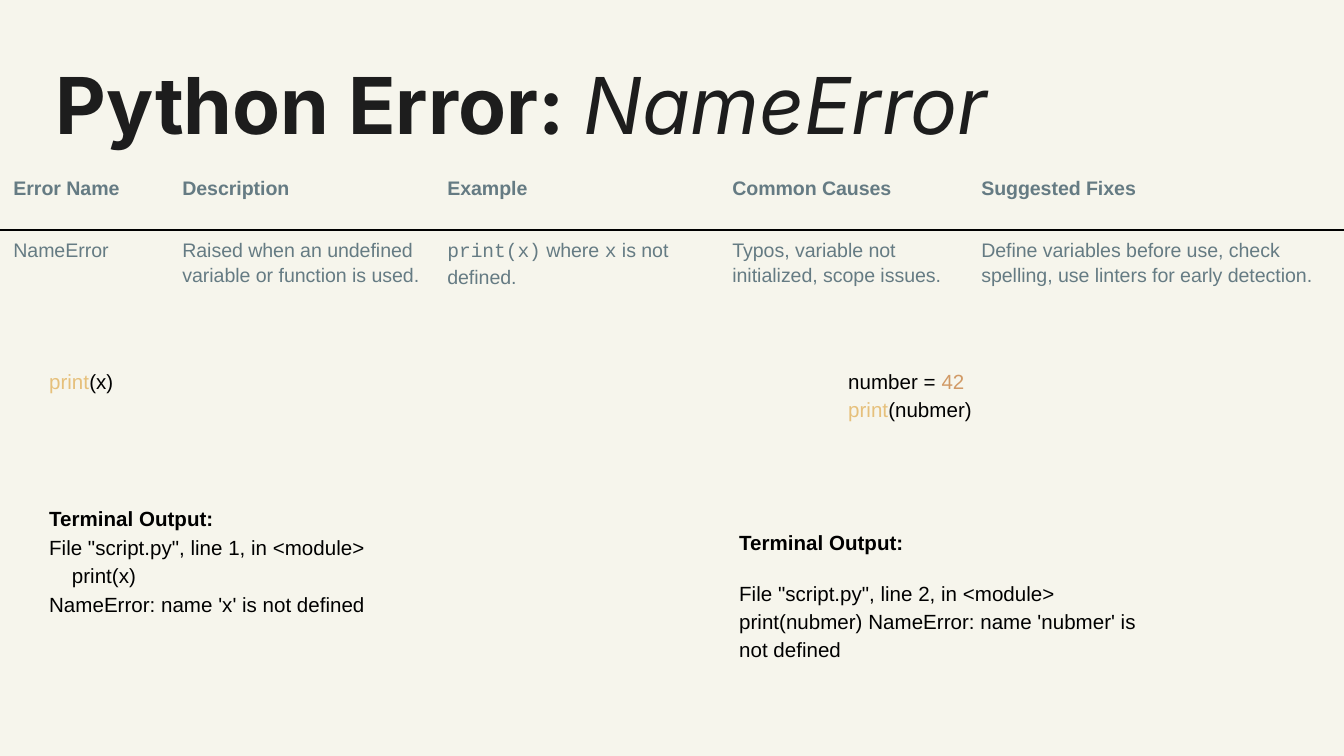
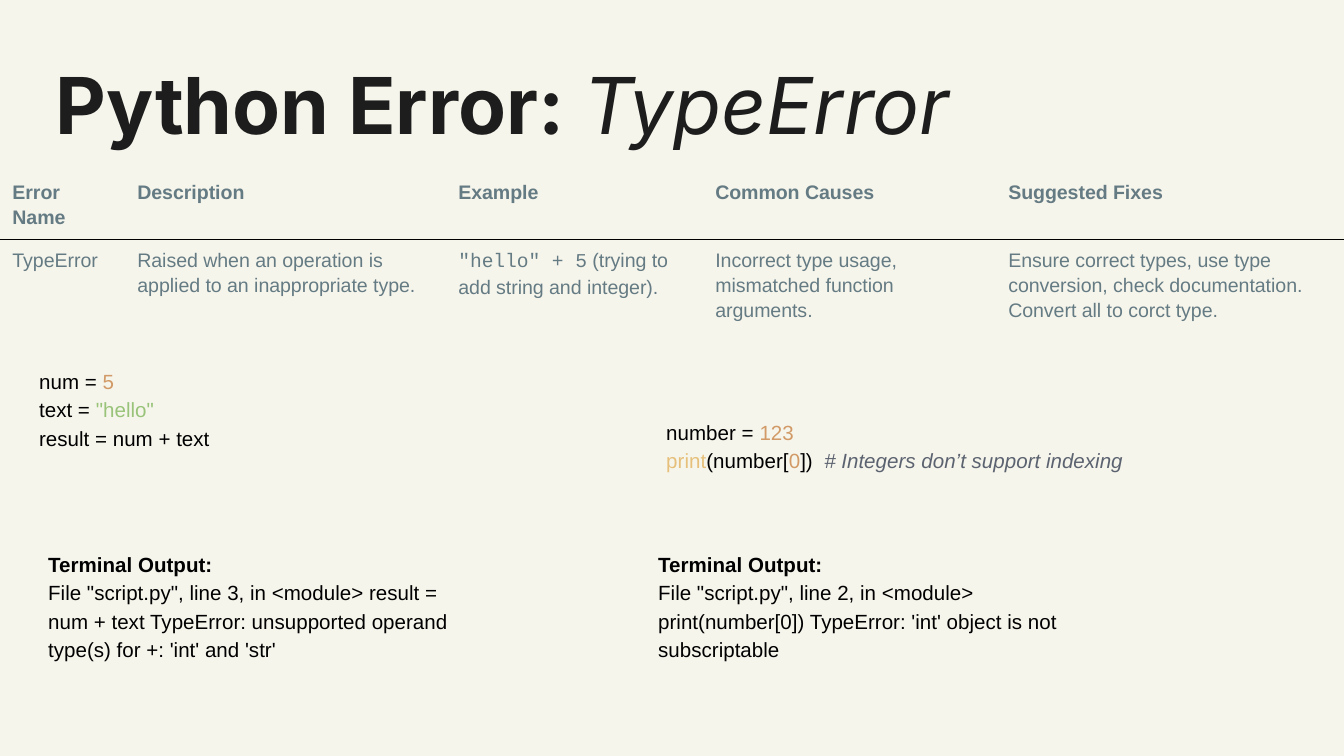
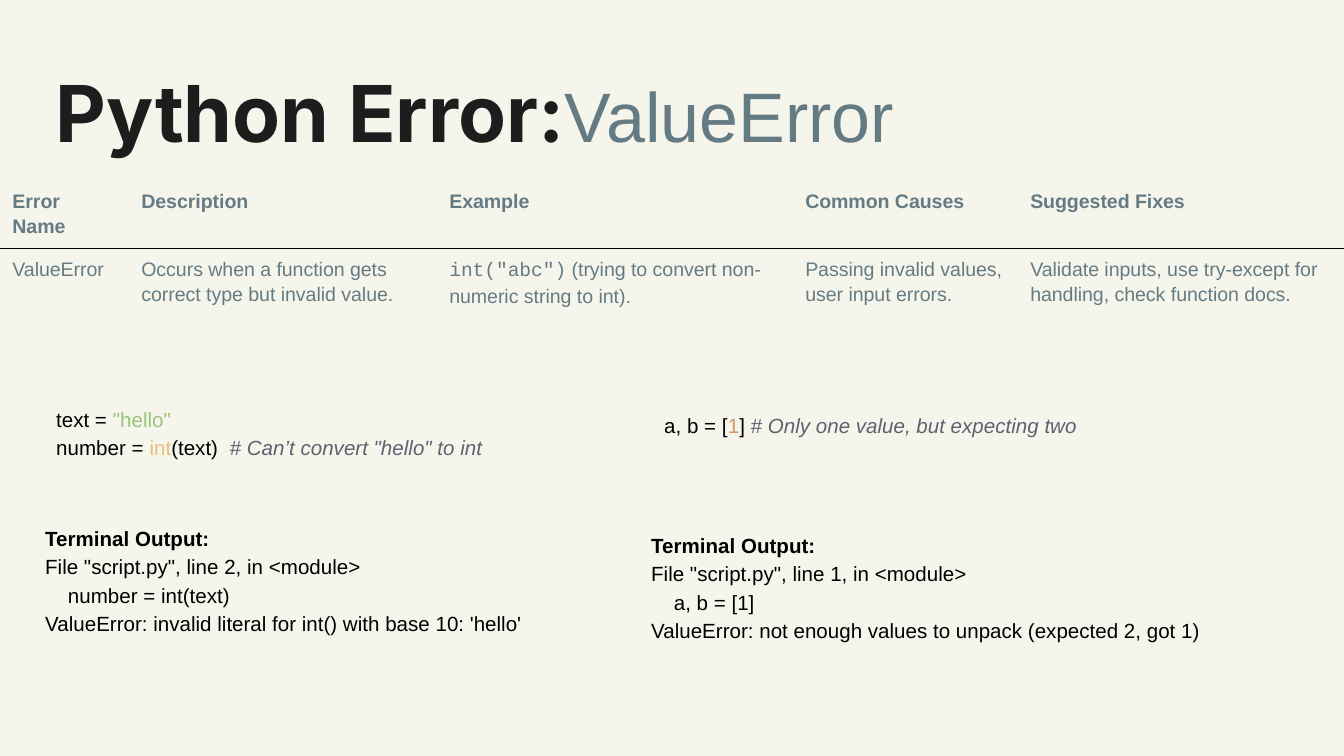
from lxml import etree
from pptx import Presentation
from pptx import util as u
from pptx.dml import color
from pptx.enum import text
from pptx.oxml import ns

PX = u.Inches(1) / 134.4
PAPER, BLACK = "F6F5EC", "000000"
NO_STYLE = "{2D5ABB26-0587-4C30-8999-92F81FD0307C}"
HEADINGS = ["Error Name", "Description", "Example", "Common Causes", "Suggested Fixes"]


def px(value):
    return u.Emu(round(value * PX))


def rgb(value):
    return color.RGBColor.from_string(value)


def style(name, size, colour, bold=False, italic=False):
    return {"name": name, "size": u.Pt(size), "color": colour, "bold": bold, "italic": italic}


STYLES = {
    # Titles
    "title": style("Inter", 42, "1D1D1D", bold=True),
    "error": style("Inter", 42, "1D1D1D", italic=True),
    "plain error": style("Arial", 37.5, "657B83"),
    "tall space": style("Inter", 58, "1D1D1D", bold=True),
    # Tables
    "heading": style("Arial", 10.5, "657B83", bold=True),
    "cell": style("Arial", 10.5, "657B83"),
    "mono": style("Courier New", 10.5, "657B83"),
    # Code and terminal output
    "code": style("Arial", 11, BLACK),
    "label": style("Arial", 11, BLACK, bold=True),
    "label space": style("Arial", 14, BLACK),
    "builtin": style("Arial", 11, "E6C07B"),
    "number": style("Arial", 11, "D19A66"),
    "string": style("Arial", 11, "98C379"),
    "comment": style("Arial", 11, "5C6370", italic=True),
}


class Deck:
    def __init__(self):
        self.presentation = Presentation()
        self.presentation.slide_width = px(1344)
        self.presentation.slide_height = px(756)
        self.slide = None

    def add_slide(self):
        self.slide = self.presentation.slides.add_slide(self.presentation.slide_layouts[6])
        fill = self.slide.background.fill
        fill.solid()
        fill.fore_color.rgb = rgb(PAPER)

    def fill_text(self, frame, paragraphs, default, **spacing):
        """Fill a text frame; a run is a string or a (text, style) pair."""
        for index, runs in enumerate(paragraphs):
            paragraph = frame.paragraphs[0] if index == 0 else frame.add_paragraph()
            for name, value in spacing.items():
                if index or name != "space_before":
                    setattr(paragraph, name, value)
            for item in [runs] if isinstance(runs, str) else runs:
                words, kind = (item, default) if isinstance(item, str) else item
                run = paragraph.add_run()
                run.text = words
                for name, value in STYLES[kind].items():
                    if name == "color":
                        run.font.color.rgb = rgb(value)
                    else:
                        setattr(run.font, name, value)

    def text_box(self, box, margin):
        frame = self.slide.shapes.add_textbox(*map(px, box)).text_frame
        frame.word_wrap = True
        for side in ("left", "top", "right", "bottom"):
            setattr(frame, f"margin_{side}", u.Inches(margin))
        return frame

    def title(self, runs, top):
        self.fill_text(self.text_box((56, top, 1288, 125), 0), [runs], "title")

    def code(self, box, lines, gap=0):
        frame = self.text_box(box, 0.1)
        frame.auto_size = text.MSO_AUTO_SIZE.SHAPE_TO_FIT_TEXT
        self.fill_text(frame, lines, "code", line_spacing=1.15, space_before=u.Pt(gap))

    def terminal(self, box, lines, gap=0, label_tail=()):
        self.code(box, [[("Terminal Output:", "label"), *label_tail], *lines], gap)

    def border(self, cell, ruled_side):
        properties = cell._tc.get_or_add_tcPr()
        for side in ("lnL", "lnR", "lnT", "lnB"):
            line = etree.SubElement(properties, ns.qn(f"a:{side}"), w=str(u.Pt(0.75)))
            if side == ruled_side:
                fill = etree.SubElement(line, ns.qn("a:solidFill"))
                etree.SubElement(fill, ns.qn("a:srgbClr"), val=BLACK)
            else:
                etree.SubElement(line, ns.qn("a:noFill"))

    def table(self, left, top, widths, values):
        heights = (62, 83)
        box = (left, top, sum(widths), sum(heights))
        table = self.slide.shapes.add_table(2, len(widths), *map(px, box)).table
        table.first_row = table.horz_banding = False
        table._tbl.tblPr.find(ns.qn("a:tableStyleId")).text = NO_STYLE
        for column, width in zip(table.columns, widths):
            column.width = px(width)
        rows = ((HEADINGS, "heading", "lnB"), (values, "cell", "lnT"))
        for r, (contents, kind, ruled_side) in enumerate(rows):
            table.rows[r].height = px(heights[r])
            for c, runs in enumerate(contents):
                cell = table.cell(r, c)
                self.border(cell, ruled_side)
                cell.fill.background()
                self.fill_text(cell.text_frame, [runs], kind,
                               line_spacing=1.15, space_after=u.Pt(8))


def name_error(deck):
    deck.add_slide()
    deck.title(["Python Error: ", ("NameError", "error")], 56)
    deck.table(0, 168, (169, 265, 285, 249, 376), [
        "NameError",
        "Raised when an undefined variable or function is used.",
        [("print(x)", "mono"), " where ", ("x", "mono"), " is not defined."],
        "Typos, variable not initialized, scope issues.",
        "Define variables before use, check spelling, use linters for early detection.",
    ])
    # Undefined variable
    deck.code((36, 352, 441, 52), [[("print", "builtin"), "(x)"]])
    deck.terminal((36, 482, 441, 145), [
        'File "script.py", line 1, in <module>',
        "    print(x)",
        "NameError: name 'x' is not defined",
    ], label_tail=[(" ", "label space")])
    # Misspelled variable
    deck.code((835, 352, 441, 81), [
        ["number = ", ("42", "number")],
        [("print", "builtin"), "(nubmer)"],
    ])
    deck.terminal((726, 513, 441, 160), [
        "File \"script.py\", line 2, in <module> print(nubmer) "
        "NameError: name 'nubmer' is not defined",
    ], gap=12)


def type_error(deck):
    deck.add_slide()
    deck.title(["Python Error: ", ("TypeError", "error")], 56)
    deck.table(-1, 172, (125, 321, 257, 293, 349), [
        "TypeError",
        "Raised when an operation is applied to an inappropriate type.",
        [('"hello" + 5', "mono"), " (trying to add string and integer)."],
        "Incorrect type usage, mismatched function arguments.",
        "Ensure correct types, use type conversion, check documentation. "
        "Convert all to corct type.",
    ])
    # Adding a number and a string
    deck.code((26, 352, 441, 109), [
        ["num = ", ("5", "number")],
        ["text = ", ('"hello"', "string")],
        "result = num + text",
    ])
    deck.terminal((35, 535, 441, 138), [
        "File \"script.py\", line 3, in <module> result = num + text "
        "TypeError: unsupported operand type(s) for +: 'int' and 'str'",
    ])
    # Indexing an integer
    deck.code((653, 403, 513, 81), [
        ["number = ", ("123", "number")],
        [("print", "builtin"), "(number[", ("0", "number"), "])  ",
         ("# Integers don’t support indexing", "comment")],
    ])
    deck.terminal((645, 535, 441, 138), [
        "File \"script.py\", line 2, in <module> print(number[0]) "
        "TypeError: 'int' object is not subscriptable",
    ])


def value_error(deck):
    deck.add_slide()
    deck.title(["Python Error:", ("ValueError", "plain error"), (" ", "tall space")], 34)
    deck.table(-1, 181, (129, 308, 356, 225, 327), [
        "ValueError",
        "Occurs when a function gets correct type but invalid value.",
        [('int("abc")', "mono"), " (trying to convert non-numeric string to int)."],
        "Passing invalid values, user input errors.",
        "Validate inputs, use try-except for handling, check function docs.",
    ])
    # Converting a word to a number
    deck.code((43, 390, 516, 81), [
        ["text = ", ('"hello"', "string")],
        ["number = ", ("int", "builtin"), "(text)  ",
         ('# Can’t convert "hello" to int', "comment")],
    ])
    deck.terminal((32, 509, 538, 138), [
        'File "script.py", line 2, in <module>',
        "    number = int(text)",
        "ValueError: invalid literal for int() with base 10: 'hello'",
    ])
    # Unpacking too few values
    deck.code((651, 396, 693, 55), [
        ["a, b = [", ("1", "number"), "] ",
         ("# Only one value, but expecting two", "comment")],
    ])
    deck.terminal((638, 516, 603, 138), [
        'File "script.py", line 1, in <module>',
        "    a, b = [1]",
        "ValueError: not enough values to unpack (expected 2, got 1)",
    ])


def main():
    deck = Deck()
    for build in (name_error, type_error, value_error):
        build(deck)
    deck.presentation.save("out.pptx")


if __name__ == "__main__":
    main()
